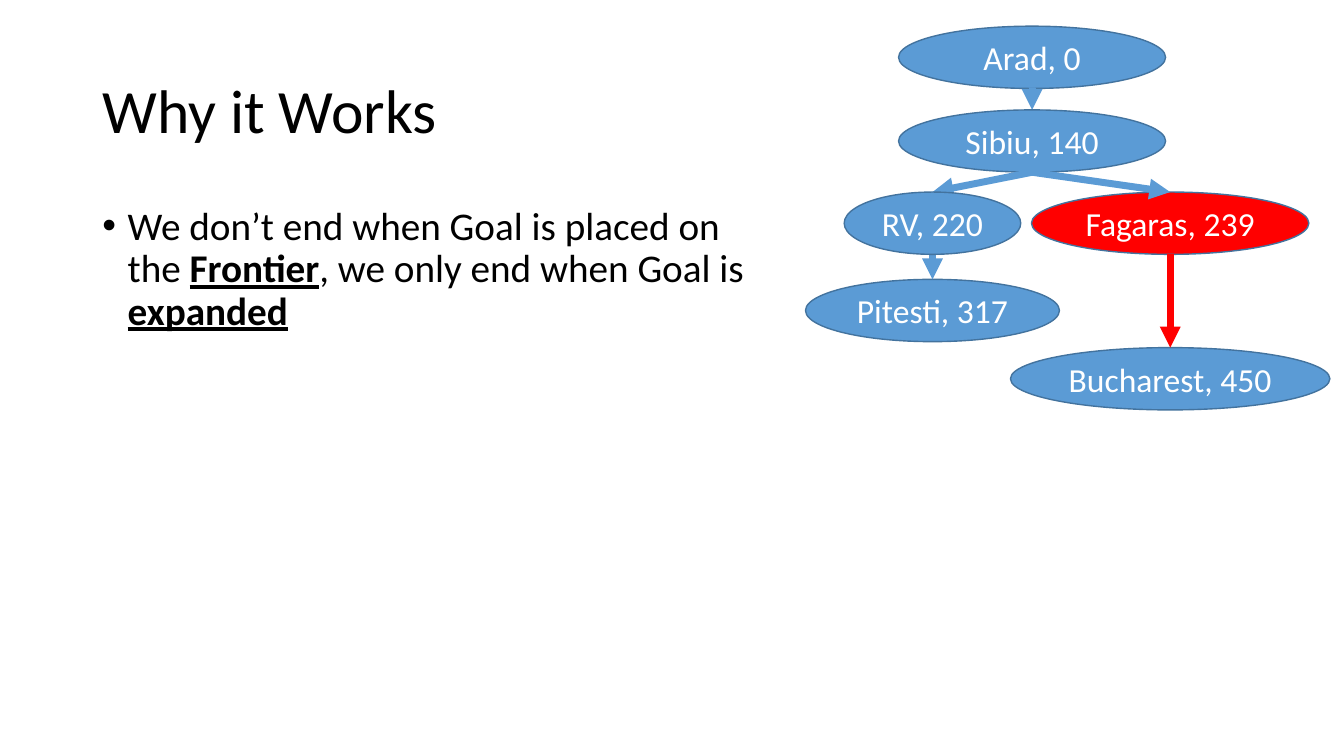
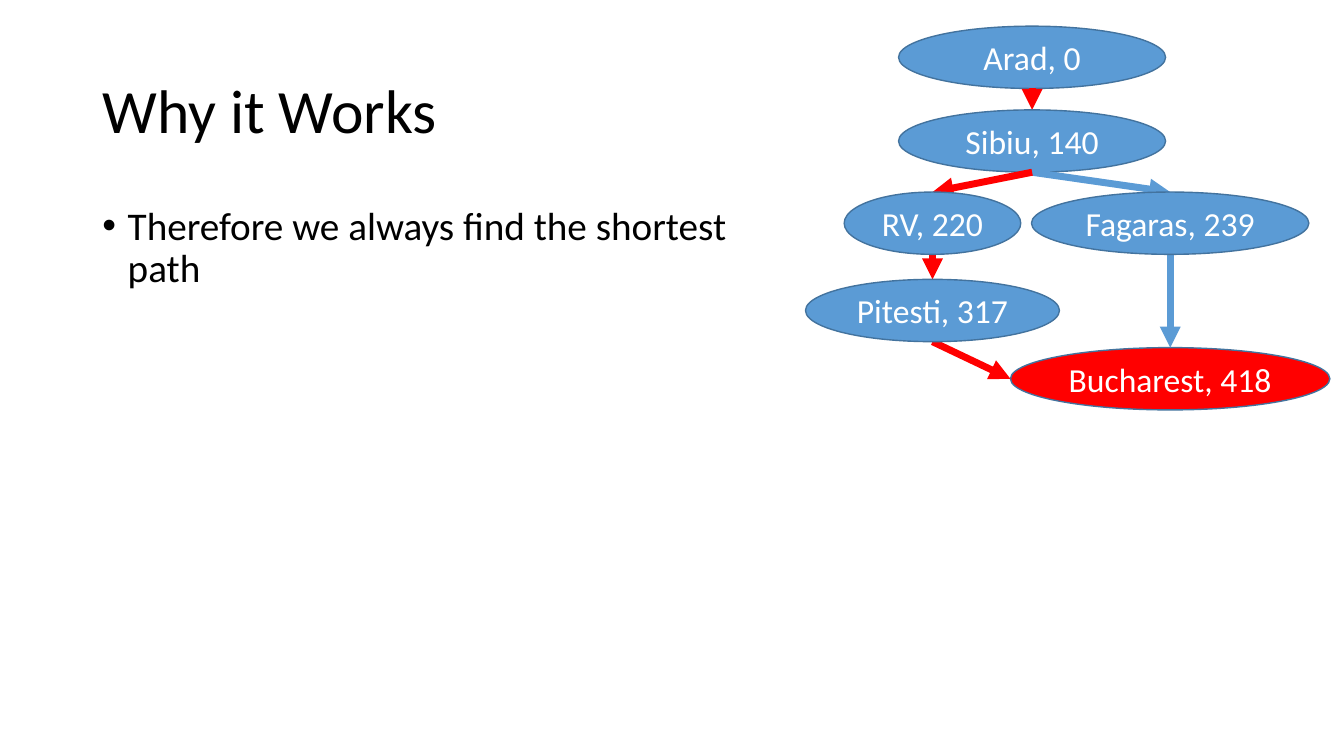
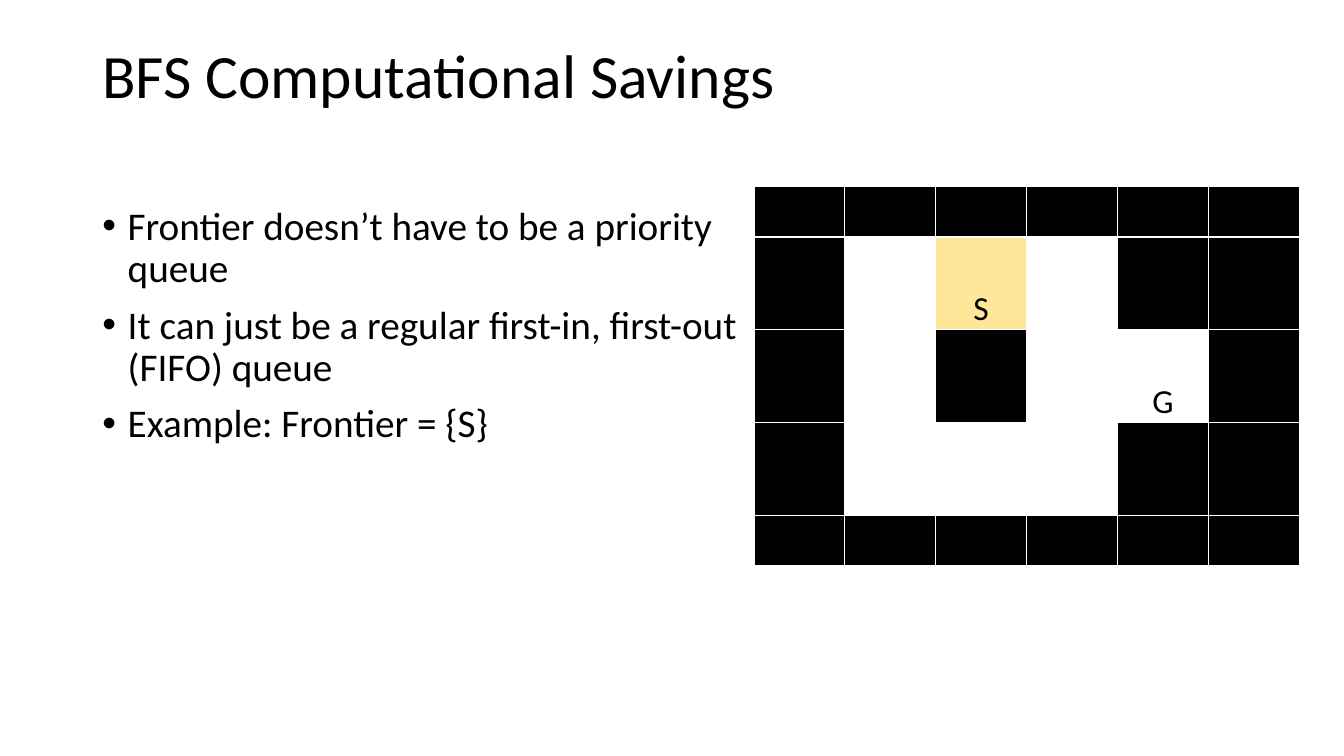
from lxml import etree
from pptx import Presentation
from pptx.dml.color import RGBColor
from pptx.enum.shapes import MSO_CONNECTOR, MSO_SHAPE
from pptx.enum.text import MSO_ANCHOR, MSO_AUTO_SIZE, PP_ALIGN
from pptx.oxml.ns import qn
from pptx.util import Cm, Pt

STRAIGHT, ELLIPSE = MSO_CONNECTOR.STRAIGHT, MSO_SHAPE.OVAL
TOP, MIDDLE, BOTTOM = MSO_ANCHOR.TOP, MSO_ANCHOR.MIDDLE, MSO_ANCHOR.BOTTOM
LEFT, CENTER = PP_ALIGN.LEFT, PP_ALIGN.CENTER
NO_AUTOFIT = MSO_AUTO_SIZE.NONE

FONT = "Calibri"
COLORS = {"text": "000000", "white": "FFFFFF", "blue": "5B9BD5",
          "outline": "43739E", "red": "FF0000", "start": "FFE699"}
COLORS = {name: RGBColor.from_string(value) for name, value in COLORS.items()}

# City nodes: centre x, top and width in cm
NODE_HEIGHT = 1.57
NODES = {
    "Arad": (26.01, 0.66, 6.73),
    "Sibiu": (26.01, 2.77, 6.73),
    "RV": (23.5, 4.84, 4.45),
    "Fagaras": (29.49, 4.84, 6.99),
    "Pitesti": (23.5, 7.04, 6.4),
    "Bucharest": (29.49, 8.76, 8.05),
}
COSTS = {"Arad": 0, "Sibiu": 140, "RV": 220, "Fagaras": 239, "Pitesti": 317}

# Slide contents; asterisks enclose emphasised words,
# and trees list nodes and (from, to) arrows from back to front
SLIDES = [
    {"title": "Why it Works", "anchor": MIDDLE,
     "bullets": ["We don’t end when Goal is placed on the *Frontier*, "
                 "we only end when Goal is *expanded*"],
     "tree": ["Arad", ("Arad", "Sibiu"), "Sibiu", "Fagaras", ("Sibiu", "RV"),
              ("Sibiu", "Fagaras"), "Pitesti", ("RV", "Pitesti"), "RV",
              "Bucharest", ("Fagaras", "Bucharest")],
     "red": ["Fagaras", ("Fagaras", "Bucharest")], "goal_cost": 450},
    {"title": "Why it Works", "anchor": MIDDLE,
     "bullets": ["Therefore we always find the shortest path"],
     "tree": ["Arad", ("Arad", "Sibiu"), "Sibiu", ("Sibiu", "Fagaras"),
              ("Sibiu", "RV"), ("RV", "Pitesti"), "RV", "Bucharest",
              ("Fagaras", "Bucharest"), "Fagaras",
              ("Pitesti", "Bucharest"), "Pitesti"],
     "red": [("Arad", "Sibiu"), ("Sibiu", "RV"), ("RV", "Pitesti"),
             ("Pitesti", "Bucharest"), "Bucharest"], "goal_cost": 418},
    {"title": "BFS Computational Savings", "anchor": TOP,
     "bullets": ["Frontier doesn’t have to be a priority queue",
                 "It can just be a regular first-in, first-out (FIFO) queue",
                 "Example: Frontier = {S}"],
     # Walls are #, open squares are dots
     "maze": ["######", "#.S.##", "#.#.G#", "#...##", "######"]},
]


def style_text(para, size, color, align):
    para.alignment = align
    for span in para.runs:
        span.font.name = FONT
        span.font.size = Pt(size)
        span.font.color.rgb = COLORS[color]


deck = Presentation()
deck.slide_width, deck.slide_height = Cm(33.87), Cm(19.05)
layout = deck.slide_layouts[5]

# Shared title position
layout_title = layout.placeholders[0]
layout_title.left, layout_title.top = Cm(2.33), Cm(1.01)
layout_title.width, layout_title.height = Cm(29.21), Cm(3.68)

for content in SLIDES:
    page = deck.slides.add_slide(layout)

    # Title
    frame = page.shapes.title.text_frame
    frame.text = content["title"]
    frame.auto_size = NO_AUTOFIT
    frame.vertical_anchor = content["anchor"]
    frame.paragraphs[0].line_spacing = 0.9
    style_text(frame.paragraphs[0], 44, "text", LEFT)

    # Bullets
    box = page.shapes.add_textbox(Cm(2.33), Cm(5.08), Cm(16.9), Cm(12.95))
    frame = box.text_frame
    frame.word_wrap = True
    for index, bullet in enumerate(content["bullets"]):
        para = frame.add_paragraph() if index else frame.paragraphs[0]
        para.line_spacing = 0.9
        para.space_before = Pt(10)
        for part, words in enumerate(bullet.split("*")):
            if words:
                span = para.add_run()
                span.text = words
                span.font.bold = span.font.underline = part % 2 == 1
        style_text(para, 28, "text", LEFT)
        properties = para._p.get_or_add_pPr()
        properties.set("marL", str(Cm(0.64)))
        properties.set("indent", str(Cm(-0.64)))
        etree.SubElement(properties, qn("a:buFont"), typeface="Arial")
        etree.SubElement(properties, qn("a:buChar"), char="•")

    # Search tree
    for item in content.get("tree", []):
        color = COLORS["red" if item in content["red"] else "blue"]
        if item in NODES:
            center, top, width = NODES[item]
            node = page.shapes.add_shape(ELLIPSE, Cm(center - width / 2), Cm(top),
                                         Cm(width), Cm(NODE_HEIGHT))
            node.shadow.inherit = False
            node.fill.solid()
            node.fill.fore_color.rgb = color
            node.line.color.rgb = COLORS["outline"]
            node.line.width = Pt(1)
            frame = node.text_frame
            frame.text = f"{item}, {COSTS.get(item, content['goal_cost'])}"
            frame.word_wrap = False
            frame.vertical_anchor = MIDDLE
            style_text(frame.paragraphs[0], 24, "white", CENTER)
        else:
            source, target = item
            start_x, start_top, _ = NODES[source]
            end_x, end_y, end_width = NODES[target]
            if item == ("Pitesti", "Bucharest"):  # enters from the left
                end_x -= end_width / 2
                end_y += NODE_HEIGHT / 2
            arrow = page.shapes.add_connector(
                STRAIGHT, Cm(start_x), Cm(start_top + NODE_HEIGHT), Cm(end_x), Cm(end_y))
            arrow.line.color.rgb = color
            arrow.line.width = Pt(5)
            etree.SubElement(arrow.line._get_or_add_ln(), qn("a:tailEnd"), type="triangle")
            etree.SubElement(arrow._element.spPr, qn("a:effectLst"))

    # Maze
    if "maze" in content:
        maze = content["maze"]
        table = page.shapes.add_table(len(maze), len(maze[0]), Cm(19.0), Cm(4.7),
                                      Cm(13.74), Cm(9.56)).table
        table.first_row = table.horz_banding = False
        for column in table.columns:
            column.width = Cm(2.29)
        fills = {"#": "text", "S": "start"}
        for row, squares in enumerate(maze):
            table.rows[row].height = Cm(1.27 if row in (0, len(maze) - 1) else 2.34)
            for column, square in enumerate(squares):
                cell = table.cell(row, column)
                cell_properties = cell._tc.get_or_add_tcPr()
                for side in ("lnL", "lnR", "lnT", "lnB"):
                    border = etree.SubElement(cell_properties, qn(f"a:{side}"), w=str(Pt(1)))
                    paint = etree.SubElement(border, qn("a:solidFill"))
                    etree.SubElement(paint, qn("a:srgbClr"), val=str(COLORS["white"]))
                cell.fill.solid()
                cell.fill.fore_color.rgb = COLORS[fills.get(square, "white")]
                if square.isalpha():
                    cell.text_frame.text = square
                    cell.vertical_anchor = BOTTOM
                    cell.margin_left = cell.margin_right = cell.margin_top = Cm(0.03)
                    cell.margin_bottom = 0
                    style_text(cell.text_frame.paragraphs[0], 24, "text", CENTER)

deck.save("out.pptx")
